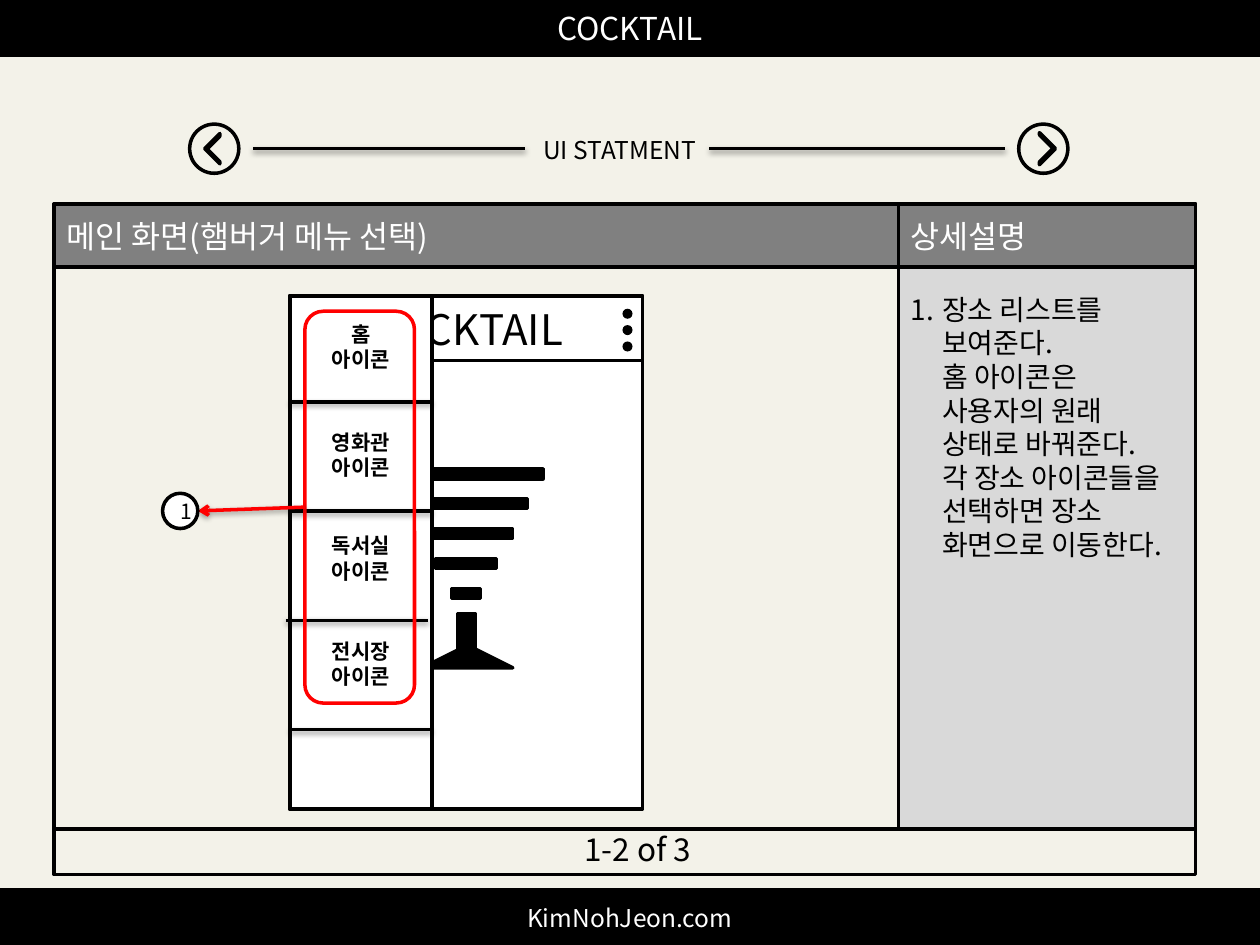
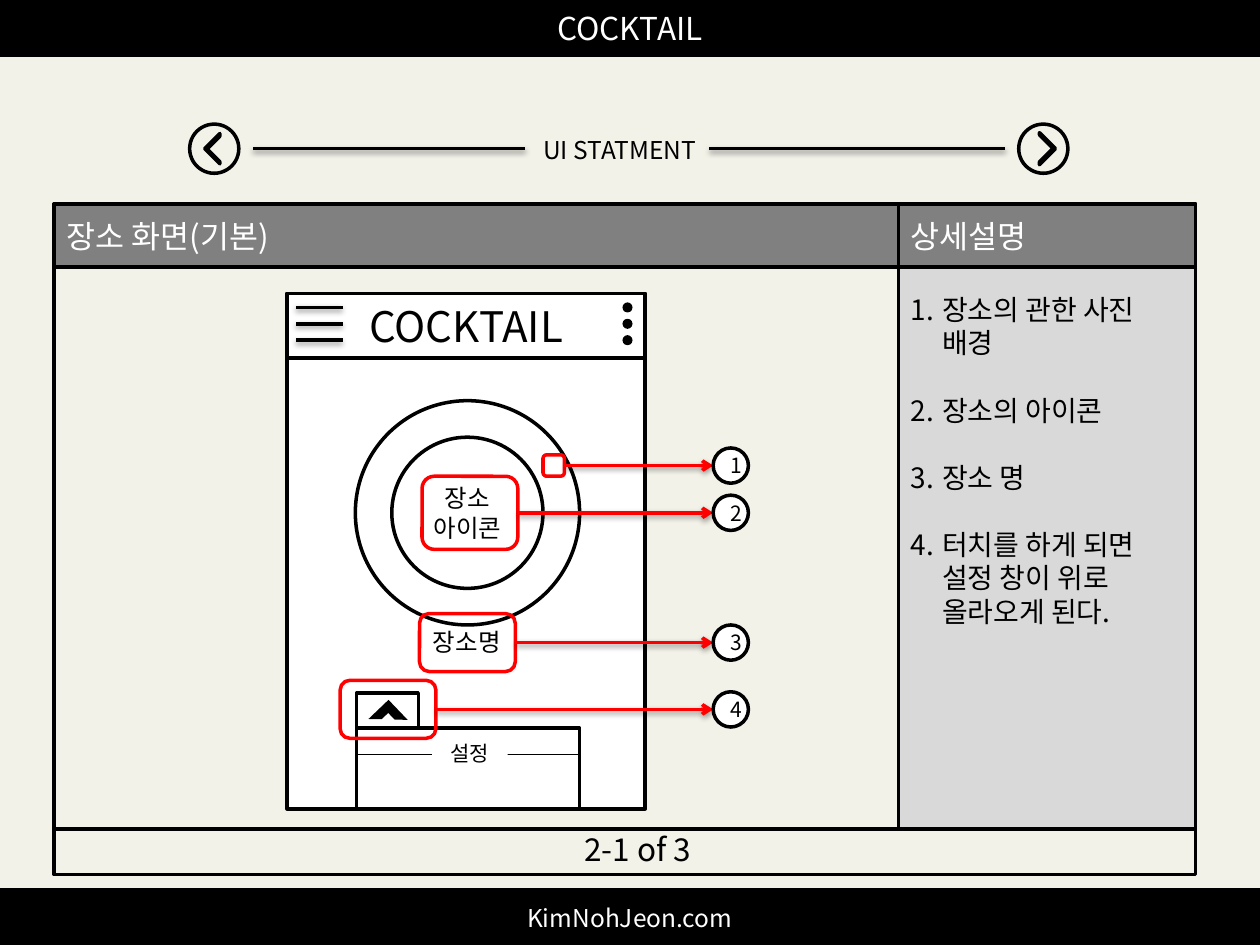
from dataclasses import dataclass
from lxml.etree import SubElement as Sub
from pptx import Presentation
from pptx.dml.color import RGBColor as Rgb
from pptx.enum.shapes import MSO_CONNECTOR as Conn, MSO_SHAPE as Geo
from pptx.enum.text import MSO_ANCHOR as Anchor, MSO_AUTO_SIZE as Fit, PP_ALIGN as Al
from pptx.oxml.ns import qn
from pptx.util import Inches as In, Pt

# Content
BRAND, SITE, TOPIC, SIDE = "COCKTAIL", "KimNohJeon.com", "UI STATMENT", "상세설명"
MENU = {
    "head": "메인 화면(햄버거 메뉴 선택)", "page": "1-2 of 3",
    "notes": [["장소 리스트를 보여준다.",
               "홈 아이콘은 사용자의 원래 상태로 바꿔준다.",
               "각 장소 아이콘들을 선택하면 장소 화면으로 이동한다."]],
    # place, top of its label, shift of the rule below
    "items": [("홈", 2.5, 0), ("영화관", 3.36, 0),
              ("독서실", 4.18, -0.03), ("전시장", 5.02, 0)],
}
PLACE = {
    "head": "장소 화면(기본)", "page": "2-1 of 3",
    "notes": [["장소의 관한 사진 배경"], ["장소의 아이콘"], ["장소 명"],
              ["터치를 하게 되면 설정 창이 위로 올라오게 된다."]],
    # framed areas, numbered in order
    "marks": [(4.31, 3.61, 0.17, 0.17), (3.35, 3.78, 0.76, 0.58),
              (3.33, 4.87, 0.76, 0.46), (2.7, 5.4, 0.76, 0.46)],
}
ICON, NAME, SETUP = "아이콘", "장소명", "설정"


# Theme
@dataclass(frozen=True)
class Theme:
    font: str = "Noto Sans CJK KR"
    paper: str = "F3F2E9"
    ink: str = "000000"
    white: str = "FFFFFF"
    gray: str = "808080"
    pale: str = "D9D9D9"
    red: str = "FF0000"
    logo: int = 24
    title: int = 18
    note: int = 16
    body: int = 14
    small: int = 12
    line: float = 2
    hair: float = 0.75


T = Theme()

# Grid
W, H = 10, 7.5
BAND = 0.44
LEFT, SPLIT, RIGHT = 0.43, 7.13, 9.49       # panel columns
TOP, MAIN, FOOT, END = 1.62, 2.12, 6.58, 6.94   # panel rows
NAV = 1.18                                  # centre of the topic row
DOT, BADGE, BAR = 0.08, 0.28, 0.51

deck = Presentation()
deck.slide_width, deck.slide_height = In(W), In(H)


# Basic parts
def rgb(hue):
    return Rgb.from_string(hue)


def write(shape, paras, size, hue=T.ink, al=Al.CENTER, bold=False):
    """Each paragraph is a list of lines."""
    frame = shape.text_frame
    frame.word_wrap = True
    for i, lines in enumerate(paras):
        para = frame.paragraphs[0] if i == 0 else frame.add_paragraph()
        para.alignment = al
        for j, line in enumerate(lines):
            if j:
                para.add_line_break()
            run = para.add_run()
            run.text = line
            font = run.font
            font.name, font.size, font.bold = T.font, Pt(size), bold
            font.color.rgb = rgb(hue)
            Sub(font._element, qn("a:ea"), typeface=T.font)
    return frame


def draw(page, geo, x, y, w, h, fill=None, line=T.ink):
    shape = page.shapes.add_shape(geo, In(x), In(y), In(w), In(h))
    shape.shadow.inherit = False
    if fill:
        shape.fill.solid()
        shape.fill.fore_color.rgb = rgb(fill)
    else:
        shape.fill.background()
    if line:
        shape.line.color.rgb = rgb(line)
        shape.line.width = Pt(T.line)
    else:
        shape.line.fill.background()
    return shape


def rect(page, *box, fill=None, line=T.ink):
    return draw(page, Geo.RECTANGLE, *box, fill, line)


def disc(page, x, y, d, fill=T.white, line=T.ink):
    """A circle around the point x, y."""
    return draw(page, Geo.OVAL, x - d / 2, y - d / 2, d, d, fill, line)


def label(page, x, y, w, h, paras, size, wrap=True, **look):
    box = page.shapes.add_textbox(In(x), In(y), In(w), In(h))
    frame = write(box, paras, size, **look)
    frame.word_wrap = wrap
    frame.auto_size = Fit.SHAPE_TO_FIT_TEXT
    return frame


def rule(page, x1, y1, x2, y2, hue=T.ink, width=T.line, shade=True, arrow=False):
    line = page.shapes.add_connector(Conn.STRAIGHT, In(x1), In(y1), In(x2), In(y2))
    line.line.color.rgb = rgb(hue)
    line.line.width = Pt(width)
    if arrow:
        Sub(line.line._get_or_add_ln(), qn("a:tailEnd"), type="arrow")
    fx = Sub(line._element.spPr, qn("a:effectLst"))
    if shade:
        cast = Sub(fx, qn("a:outerShdw"), blurRad="40000", dist="20000",
                   dir="5400000", rotWithShape="0")
        tone = Sub(cast, qn("a:srgbClr"), val=T.ink)
        Sub(tone, qn("a:alpha"), val="38000")


# Shared frame of a slide
def band(page, y, text, size):
    write(rect(page, 0, y, W, BAND, fill=T.ink), [[text]], size, T.white)


def start():
    page = deck.slides.add_slide(deck.slide_layouts[6])
    page.background.fill.solid()
    page.background.fill.fore_color.rgb = rgb(T.paper)
    band(page, 0, BRAND, T.title)
    band(page, H - BAND, SITE, T.body)
    return page


def topic(page):
    text = label(page, 4.17, 1.02, 1.46, 0.34, [[TOPIC]], T.body, False, al=Al.LEFT)
    text.margin_left = In(0.14)
    for x1, x2 in ((2.01, 4.17), (5.63, 7.98)):
        rule(page, x1, NAV, x2, NAV)
    for x, tip, size, turn in ((1.7, 1.66, 0.17, 315), (8.28, 8.16, 0.18, 135)):
        disc(page, x, NAV, 0.39, fill=None)
        arm = draw(page, Geo.HALF_FRAME, tip, NAV - size / 2, size, size, T.white)
        arm.adjustments[0], arm.adjustments[1] = 0.088, 0.068
        arm.rotation = turn


def panel(page, data):
    rect(page, LEFT, TOP, RIGHT - LEFT, END - TOP)
    label(page, 4.54, 6.54, 1.13, 0.4, [[data["page"]]], T.title, False, al=Al.LEFT)
    rule(page, LEFT, FOOT, RIGHT, FOOT, shade=False)
    for x, end, text in ((LEFT, SPLIT, data["head"]), (SPLIT, RIGHT, SIDE)):
        cell = rect(page, x, TOP, end - x, MAIN - TOP, fill=T.gray)
        write(cell, [[text]], T.title, T.white, Al.LEFT)
    side = rect(page, SPLIT, MAIN, RIGHT - SPLIT, FOOT - MAIN, fill=T.pale)
    frame = write(side, data["notes"], T.note, al=Al.LEFT)
    frame.vertical_anchor = Anchor.TOP
    frame.margin_top = frame.margin_bottom = In(0.2)
    for i, para in enumerate(frame.paragraphs):
        if i:
            para.space_before = Pt(1.2 * T.note)
        props = para._p.get_or_add_pPr()
        props.set("marL", str(In(0.25)))
        props.set("indent", str(-In(0.25)))
        Sub(props, qn("a:buFont"), typeface="+mj-lt")
        Sub(props, qn("a:buAutoNum"), type="arabicPeriod")


def phone(page, x, y, w, h):
    rect(page, x, y, w, h, fill=T.white)
    write(rect(page, x, y, w, BAR, fill=T.white), [[BRAND]], T.logo)


def dots(page, y):
    for i in range(3):
        disc(page, 4.98, y + 0.13 * i, DOT, T.ink, None)


def mark(page, num, box, x, drop=0):
    """A red frame with an arrow to a numbered badge centred at x."""
    left, top, w, h = box
    draw(page, Geo.ROUNDED_RECTANGLE, *box, None, T.red)
    y = top + h / 2
    right = x > left
    edge = left + w if right else left
    goal = x - BADGE / 2 if right else x + BADGE / 2
    rule(page, edge, y, goal, y + drop, T.red, arrow=True)
    write(disc(page, x, y + drop, BADGE), [[str(num)]], T.small)


# Slide 1: opened menu
page = start()
px, py, pw, ph = 2.3, 2.35, 2.8, 4.07
phone(page, px, py, pw, ph)
dots(page, 2.49)
mid = px + pw / 2
for i in range(5):                          # glass
    w = 1.22 - 0.2475 * i
    rect(page, mid - w / 2, 3.72 + 0.2375 * i, w, DOT, fill=T.ink)
rect(page, mid - 0.07, 4.87, 0.14, 0.31, fill=T.ink)
draw(page, Geo.ISOSCELES_TRIANGLE, mid - 0.35, 5.12, 0.72, 0.18, T.ink)
wide = 1.13                                 # drawer
rect(page, px, py, wide, ph, fill=T.white)
for i, (word, y, dx) in enumerate(MENU["items"]):
    label(page, px, y, wide, 0.5, [[word], [ICON]], T.small, bold=True)
    low = 3.19 + 0.867 * i
    rule(page, px + dx, low, px + dx + wide, low)
mark(page, 1, (2.42, 2.47, 0.87, 3.11), 1.43, 0.03)
topic(page)
panel(page, MENU)

# Slide 2: place screen
page = start()
px, py, pw, ph = 2.28, 2.33, 2.84, 4.09
phone(page, px, py, pw, ph)
for i in range(3):                          # menu button
    rule(page, 2.35, 2.44 + 0.13 * i, 2.72, 2.44 + 0.13 * i)
dots(page, 2.44)
mid = 3.71
disc(page, mid, 4.07, 1.78)
write(disc(page, mid, 4.07, 1.2), [[NAME[:2]], [ICON]], T.body)
x, y, w = 2.83, 5.78, 1.77                  # settings drawer
rect(page, x, y, w, py + ph - y, fill=T.white)
rect(page, x, y - 0.28, 0.49, 0.28, fill=T.white)
draw(page, Geo.HALF_FRAME, 2.97, 5.6, 0.22, 0.22, T.ink, None).rotation = 46.3
rule(page, x, 5.99, x + w, 5.99, width=T.hair, shade=False)
write(rect(page, 3.43, 5.86, 0.6, 0.24, fill=T.white, line=None), [[SETUP]], T.small)
label(page, 2.88, 4.93, 1.65, 0.34, [[NAME]], T.body)
for num, box in enumerate(PLACE["marks"], 1):
    mark(page, num, box, 5.8)
panel(page, PLACE)
topic(page)

deck.save("out.pptx")
